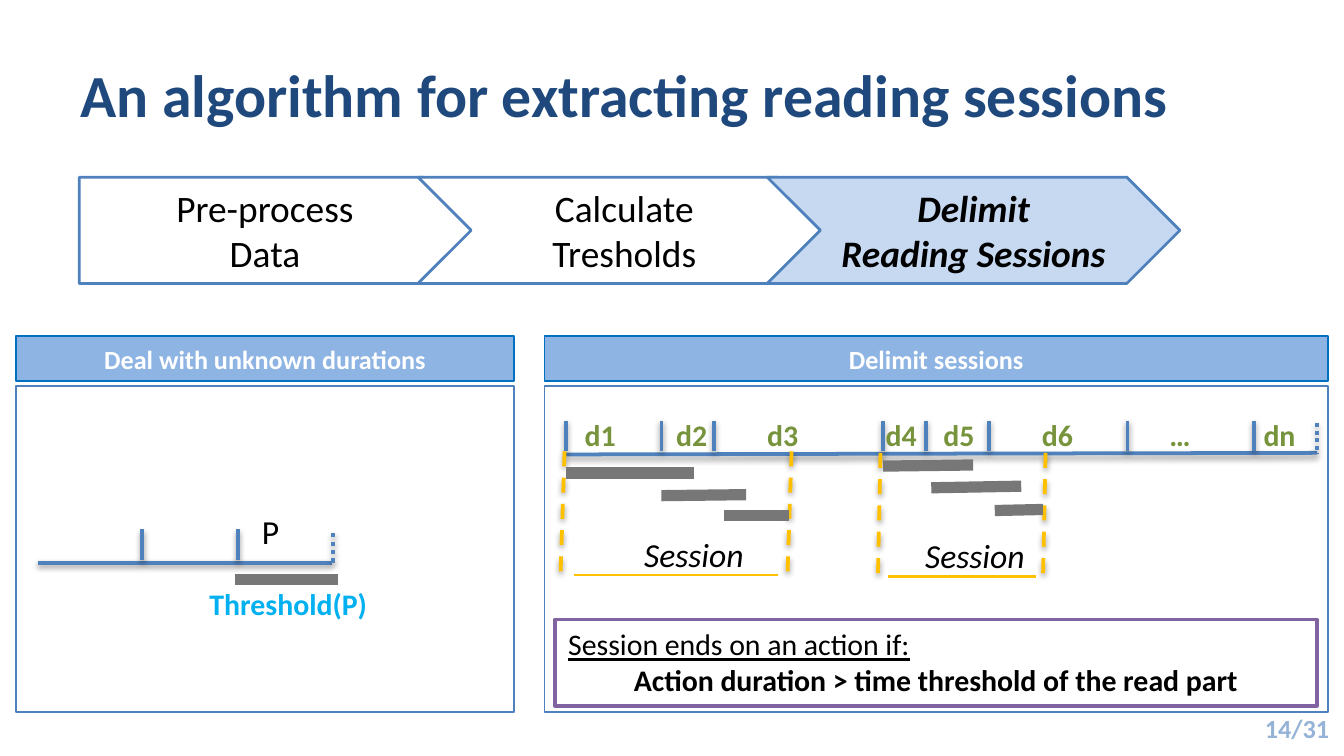
"""Build the slide on delimiting reading sessions with an algorithm."""
from lxml.etree import SubElement
from pptx import Presentation
from pptx.dml.color import RGBColor
from pptx.enum.dml import MSO_LINE
from pptx.enum.shapes import MSO_CONNECTOR, MSO_SHAPE
from pptx.enum.text import MSO_ANCHOR, PP_ALIGN
from pptx.oxml.ns import qn
from pptx.util import Cm, Pt

COLORS = {
    "white": "FFFFFF", "black": "000000", "navy": "1F497D", "blue": "4F81BD",
    "edge": "0070C0", "header": "8EB4E3", "active": "C6D9F1", "page": "95B3D7",
    "gray": "777777", "green": "77933C", "gold": "FFC000", "cyan": "00B0F0",
    "purple": "8064A2",
}
RGB = {name: RGBColor.from_string(value) for name, value in COLORS.items()}


def write_text(shape, text, size=18, color="black", align=PP_ALIGN.LEFT,
               anchor=MSO_ANCHOR.TOP, wrap=True, bold=False, italic=False, underline=False):
    frame = shape.text_frame
    frame.word_wrap = wrap
    frame.vertical_anchor = anchor
    for line in text.split("\n"):
        paragraph = frame.add_paragraph() if frame.text else frame.paragraphs[0]
        paragraph.alignment = align
        run = paragraph.add_run()
        run.text = line
        font = run.font
        font.name, font.size = "Calibri", Pt(size)
        font.bold, font.italic, font.underline = bold, italic, underline
        font.color.rgb = RGB[color]


def draw_line(x1, y1, x2, y2, color="blue", width=2, dash=None, shadow=True):
    line = slide.shapes.add_connector(MSO_CONNECTOR.STRAIGHT, Cm(x1), Cm(y1), Cm(x2), Cm(y2))
    line.line.color.rgb = RGB[color]
    line.line.width = Pt(width)
    if dash:
        line.line.dash_style = dash
    effects = SubElement(line._element.spPr, qn("a:effectLst"))
    if shadow:
        outer = SubElement(effects, qn("a:outerShdw"), blurRad=str(Pt(3.1)),
                           dist=str(Pt(1.6)), dir="5400000", rotWithShape="0")
        tint = SubElement(outer, qn("a:srgbClr"), val=COLORS["black"])
        SubElement(tint, qn("a:alpha"), val="38000")


presentation = Presentation()
presentation.slide_width, presentation.slide_height = Cm(25.4), Cm(14.29)
slide = presentation.slides.add_slide(presentation.slide_layouts[5])

title = slide.shapes.title
title.left, title.top, title.width, title.height = Cm(1.27), Cm(0.58), Cm(24.13), Cm(2.39)
write_text(title, "An algorithm for extracting reading sessions", size=32, color="navy",
           anchor=MSO_ANCHOR.MIDDLE, bold=True)

centered = {"align": PP_ALIGN.CENTER, "anchor": MSO_ANCHOR.MIDDLE}
step_format = {"size": 20, **centered}
header_format = {"size": 14, "color": "white", "bold": True, **centered}
boxes = [
    (MSO_SHAPE.PENTAGON, 1.5, 3.35, 7.52, 2.01, "white", "blue", 1.5,
     "Pre-process\nData", step_format),
    (MSO_SHAPE.CHEVRON, 7.9, 3.35, 7.8, 2.01, "white", "blue", 1.5,
     "Calculate\nTresholds", step_format),
    (MSO_SHAPE.CHEVRON, 14.5, 3.35, 7.8, 2.01, "active", "blue", 1.5,
     "Delimit\nReading Sessions", {**step_format, "bold": True, "italic": True}),
]
for left, width, heading in [(0.3, 9.42, "Deal with unknown durations"),
                             (10.29, 14.81, "Delimit sessions")]:
    boxes += [
        (MSO_SHAPE.RECTANGLE, left, 7.3, width, 6.16, "white", "blue", 1, "", {}),
        (MSO_SHAPE.RECTANGLE, left, 6.35, width, 0.86, "header", "edge", 1,
         heading, header_format),
    ]
boxes.append((MSO_SHAPE.RECTANGLE, 10.49, 11.71, 14.4, 1.63, "white", "purple", 2,
              "Session ends on an action if:", {"size": 16, "underline": True}))
for kind, left, top, width, height, fill, edge, weight, text, text_format in boxes:
    shape = slide.shapes.add_shape(kind, Cm(left), Cm(top), Cm(width), Cm(height))
    shape.shadow.inherit = False
    shape.fill.solid()
    shape.fill.fore_color.rgb = RGB[fill]
    shape.line.color.rgb = RGB[edge]
    shape.line.width = Pt(weight)
    if text:
        write_text(shape, text, **text_format)
write_text(shape, "Action duration > time threshold of the read part", size=16,
           align=PP_ALIGN.CENTER, bold=True)

draw_line(6.27, 10.64, 0.71, 10.64, width=2.25)
for x in (2.69, 4.5):
    draw_line(x, 10, x, 10.59, width=2.25)
draw_line(6.3, 10.08, 6.3, 10.69, width=2.25, dash=MSO_LINE.ROUND_DOT)

draw_line(24.89, 8.56, 10.69, 8.59)
for x in (10.69, 12.5, 13.49, 16.69, 17.5, 18.69, 21.31, 23.7):
    draw_line(x, 7.95, x, 8.53)
draw_line(24.89, 8, 24.89, 8.58, dash=MSO_LINE.ROUND_DOT)

for start, end, top in [(10.67, 10.59, 8.53), (14.96, 14.88, 8.53),
                        (16.64, 16.59, 8.56), (19.76, 19.71, 8.56)]:
    draw_line(start, top, end, top + 2.42, color="gold", dash=MSO_LINE.DASH)
for start, end, y in [(10.85, 14.71, 10.87), (16.79, 19.58, 10.9)]:
    draw_line(start, y, end, y, color="gold", width=1.5, shadow=False)
for duration in [(4.45, 10.95, 6.38, 10.95),
                 (10.69, 8.94, 13.11, 8.94), (12.5, 9.37, 14.1, 9.35),
                 (13.69, 9.75, 14.91, 9.75), (16.69, 8.81, 18.39, 8.79),
                 (17.6, 9.22, 19.3, 9.19), (18.8, 9.65, 19.71, 9.63)]:
    draw_line(*duration, color="gray", width=6, shadow=False)

session_format = {"italic": True, "align": PP_ALIGN.CENTER, "wrap": False}
labels = [
    (4.7, 9.53, 1.6, 1.02, "P", {}),
    (3.71, 10.95, 3.53, 0.94, "Threshold(P)",
     {"size": 16, "color": "cyan", "bold": True, "wrap": False}),
    (11.91, 9.96, 2.41, 1.02, "Session", session_format),
    (17.22, 9.98, 2.41, 1.02, "Session", session_format),
    (21.31, 13.39, 3.81, 0.76, "14/31",
     {"size": 14, "color": "page", "bold": True, "align": PP_ALIGN.RIGHT,
      "anchor": MSO_ANCHOR.MIDDLE}),
    (10.8, 7.75, 14.6, 0.94, "\t".join(["d1", "d2", "d3", "d4", "d5", "d6", "…", "dn"]),
     {"size": 16, "color": "green", "bold": True}),
]
for left, top, width, height, text, text_format in labels:
    label = slide.shapes.add_textbox(Cm(left), Cm(top), Cm(width), Cm(height))
    write_text(label, text, **text_format)
    if text == "14/31":
        label.text_frame.margin_left = label.text_frame.margin_right = 0

tabs = SubElement(label.text_frame.paragraphs[0]._p.get_or_add_pPr(), qn("a:tabLst"))
for position in (1.73, 3.45, 5.69, 6.78, 8.64, 11.05, 12.83):
    SubElement(tabs, qn("a:tab"), pos=str(Cm(position)), algn="l")

presentation.save("out.pptx")
